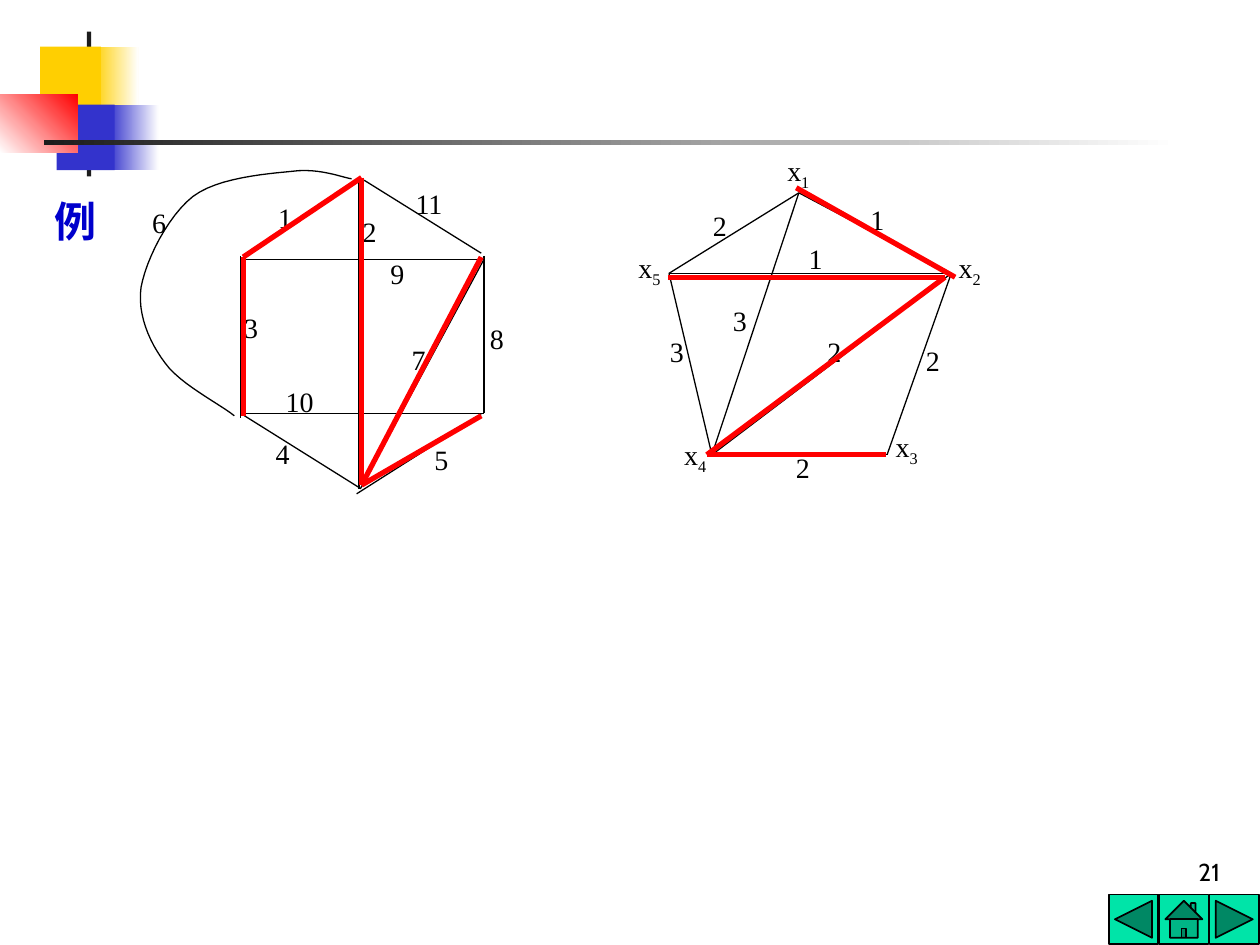
from pptx import Presentation
from pptx.dml.color import RGBColor
from pptx.enum.shapes import MSO_CONNECTOR, MSO_SHAPE
from pptx.enum.text import MSO_ANCHOR, PP_ALIGN
from pptx.oxml import parse_xml
from pptx.oxml.ns import nsdecls
from pptx.util import Pt

BLACK, RED, BLUE = "000000", "FF0000", "0000CC"
YELLOW, INDIGO, CHARCOAL, WHITE, GREEN = "FFCF01", "3333CC", "1C1C1C", "FFFFFF", "00E4A8"

DECORATIONS = [
    (53.3, 26.6, 25.9, 37.4, (YELLOW, WHITE), 0),
    (61.9, 59.8, 28.8, 37.4, (INDIGO, WHITE), 0),
    (49.7, 18, 2.5, 82.8, (CHARCOAL,), 0),
    (23, 26.6, 34.6, 37.4, (YELLOW,), 0),
    (32.4, 59.8, 33.1, 37.4, (INDIGO,), 0),
    (0, 53.8, 44.3, 33.5, (WHITE, RED), 45),
    (25.2, 80, 648, 2.7, (CHARCOAL, WHITE), 0),
]
BUTTONS = [
    MSO_SHAPE.ACTION_BUTTON_BACK_OR_PREVIOUS,
    MSO_SHAPE.ACTION_BUTTON_HOME,
    MSO_SHAPE.ACTION_BUTTON_FORWARD_OR_NEXT,
]
OUTER_ARC = [
    [(200.9, 102.2), (195.8, 101.5), (182.2, 95.8), (167, 97.9)],
    [(167, 97.9), (151.9, 99.4), (124.6, 101.5), (110.2, 112.3)],
    [(110.2, 112.3), (95.8, 123.8), (83.5, 148.3), (80.6, 164.2)],
    [(80.6, 164.2), (78.5, 179.3), (85, 195.1), (94.3, 207.4)],
    [(94.3, 207.4), (103, 219.6), (126, 231.1), (133.9, 237.6)],
]
HEXAGON_EDGES = [
    ((137.5, 236.2), (276.5, 236.2)),
    ((137.5, 236.2), (205.2, 278.6)),
    ((276.5, 146.2), (276.5, 236.2)),
    ((208.1, 103), (275, 144.7)),
    ((203.8, 103), (138.2, 147.6)),
    ((137.5, 146.2), (137.5, 239)),
    ((275, 236.9), (203.8, 282.2)),
    ((276.5, 148.3), (205.9, 279.4)),
    ((205.2, 101.5), (205.2, 279.4)),
    ((138.2, 148.3), (273.6, 148.3)),
]
HEXAGON_WEIGHTS = [
    ("6", 79.9, 113.8), ("1", 151.9, 110.9), ("2", 200.2, 118.8), ("9", 216, 143.3),
    ("3", 132.5, 174.2), ("4", 150.5, 246.2), ("10", 156.2, 216), ("8", 272.9, 180),
    ("7", 228.2, 192.2), ("5", 241.2, 249.1), ("11", 230.4, 103),
]
TOP, BOTTOM = (206.6, 101.5), (206.6, 277.2)
UPPER_LEFT, UPPER_RIGHT = (139, 146.9), (275, 146.9)
LOWER_LEFT, LOWER_RIGHT = (139, 237.6), (275, 237.6)
HEXAGON_TREE = [
    (TOP, UPPER_LEFT), (TOP, BOTTOM), (UPPER_LEFT, LOWER_LEFT),
    (LOWER_RIGHT, BOTTOM), (UPPER_RIGHT, BOTTOM),
]
X1, X2, X3, X4, X5 = (456.5, 110.2), (543.6, 156.2), (506.9, 259.9), (406.8, 259.9), (382.3, 156.2)
PENTAGON_EDGES = [
    (X1, X5), (X1, X2), (X5, X4), (X2, X3), (X4, X3), (X2, X4), (X5, X2), (X1, X4),
]
PENTAGON_NODES = [
    ("1", 442.8, 84), ("3", 504.7, 241.9), ("4", 383.8, 246.2),
    ("2", 540.7, 139.7), ("5", 357.8, 139.7),
]
PENTAGON_WEIGHTS = [
    ("2", 400.3, 115.9), ("3", 411.8, 169.9), ("3", 375.8, 187.9), ("2", 447.8, 254.2),
    ("2", 465.8, 187.9), ("2", 522, 193), ("1", 455, 134.6), ("1", 490.3, 112.3),
]
TREE_X2, TREE_X4 = (540, 158.4), (403.9, 259.9)
PENTAGON_TREE = [
    ((455, 107.3), (545.8, 158.4)), (TREE_X2, (381.6, 158.4)),
    (TREE_X2, TREE_X4), ((506.2, 259.9), TREE_X4),
]


def color(value):
    return RGBColor.from_string(value)


def bezier_points(curve, steps=12):
    for step in range(1, steps + 1):
        t = step / steps
        weights = ((1 - t) ** 3, 3 * t * (1 - t) ** 2, 3 * t**2 * (1 - t), t**3)
        yield tuple(Pt(sum(w * point[axis] for w, point in zip(weights, curve))) for axis in (0, 1))


class GraphSlide:
    """Hold the text style and the current slide, and add each kind of element."""

    font_name = "Times New Roman"
    font_size = 16

    def __init__(self, slide):
        self.slide = slide
        self.shapes = slide.shapes

    def style_font(self, font, name=None, size=None, value=BLACK, bold=False):
        font.name = name or self.font_name
        font.size = Pt(size or self.font_size)
        font.bold = bold
        font.color.rgb = color(value)

    def title(self, text, left, top, width, height):
        shape = self.shapes.title
        shape.left, shape.top, shape.width, shape.height = map(Pt, (left, top, width, height))
        shape.text_frame.text = text
        shape.text_frame.vertical_anchor = MSO_ANCHOR.TOP
        paragraph = shape.text_frame.paragraphs[0]
        paragraph.alignment = PP_ALIGN.LEFT
        self.style_font(paragraph.font, size=24, value=BLUE, bold=True)

    def block(self, left, top, width, height, colors, angle):
        shape = self.shapes.add_shape(MSO_SHAPE.RECTANGLE, *map(Pt, (left, top, width, height)))
        shape.shadow.inherit = False
        shape.line.fill.background()
        if len(colors) == 1:
            shape.fill.solid()
            shape.fill.fore_color.rgb = color(colors[0])
            return
        shape.fill.gradient()
        shape.fill.gradient_angle = angle
        for stop, value in zip(shape.fill.gradient_stops, colors):
            stop.color.rgb = color(value)

    def button(self, kind, left, top, size):
        shape = self.shapes.add_shape(kind, *map(Pt, (left, top, size, size)))
        shape.shadow.inherit = False
        shape.fill.solid()
        shape.fill.fore_color.rgb = color(GREEN)
        shape.line.color.rgb = color(BLACK)
        shape.line.width = Pt(1)

    def edge(self, start, end, value=BLACK, width=0.75):
        connector = self.shapes.add_connector(MSO_CONNECTOR.STRAIGHT, *map(Pt, (*start, *end)))
        connector.line.color.rgb = color(value)
        connector.line.width = Pt(width)
        connector._element.spPr.append(parse_xml(f"<a:effectLst {nsdecls('a')}/>"))

    def arc(self, curves):
        builder = self.shapes.build_freeform(*map(Pt, curves[0][0]))
        points = [point for curve in curves for point in bezier_points(curve)]
        builder.add_line_segments(points, close=False)
        shape = builder.convert_to_shape()
        shape.shadow.inherit = False
        shape.fill.background()
        shape.line.color.rgb = color(BLACK)
        shape.line.width = Pt(0.75)

    def label(self, text, left, top, width=36, height=26.6, subscript=""):
        box = self.shapes.add_textbox(*map(Pt, (left, top, width, height)))
        box.text_frame.word_wrap = True
        paragraph = box.text_frame.paragraphs[0]
        paragraph.add_run().text = text
        if subscript:
            run = paragraph.add_run()
            run.text = subscript
            run._r.get_or_add_rPr().set("baseline", "-25000")
        self.style_font(paragraph.font)
        return box

    def page_number(self, text, left, top, width, height):
        box = self.label(text, left, top, width, height)
        box.text_frame.vertical_anchor = MSO_ANCHOR.BOTTOM
        paragraph = box.text_frame.paragraphs[0]
        paragraph.alignment = PP_ALIGN.RIGHT
        self.style_font(paragraph.font, name="Cabin", size=14)


def main():
    presentation = Presentation()
    presentation.slide_width, presentation.slide_height = Pt(720), Pt(540)
    graph = GraphSlide(presentation.slides.add_slide(presentation.slide_layouts[5]))

    for decoration in DECORATIONS:
        graph.block(*decoration)
    for index, kind in enumerate(BUTTONS):
        graph.button(kind, 633.6 + 28.8 * index, 511.2, 28.2)
    graph.page_number("21", 554.4, 474, 149.8, 36)
    graph.title("例", 23.8, 108, 58.3, 36)

    graph.arc(OUTER_ARC)
    for edges, weights, nodes, tree in (
        (HEXAGON_EDGES, HEXAGON_WEIGHTS, [], HEXAGON_TREE),
        (PENTAGON_EDGES, PENTAGON_WEIGHTS, PENTAGON_NODES, PENTAGON_TREE),
    ):
        for start, end in edges:
            graph.edge(start, end)
        for number, left, top in nodes:
            graph.label("x", left, top, height=29.5, subscript=number)
        for weight, left, top in weights:
            graph.label(weight, left, top)
        for start, end in tree:
            graph.edge(start, end, RED, 3)

    presentation.save("out.pptx")


if __name__ == "__main__":
    main()
